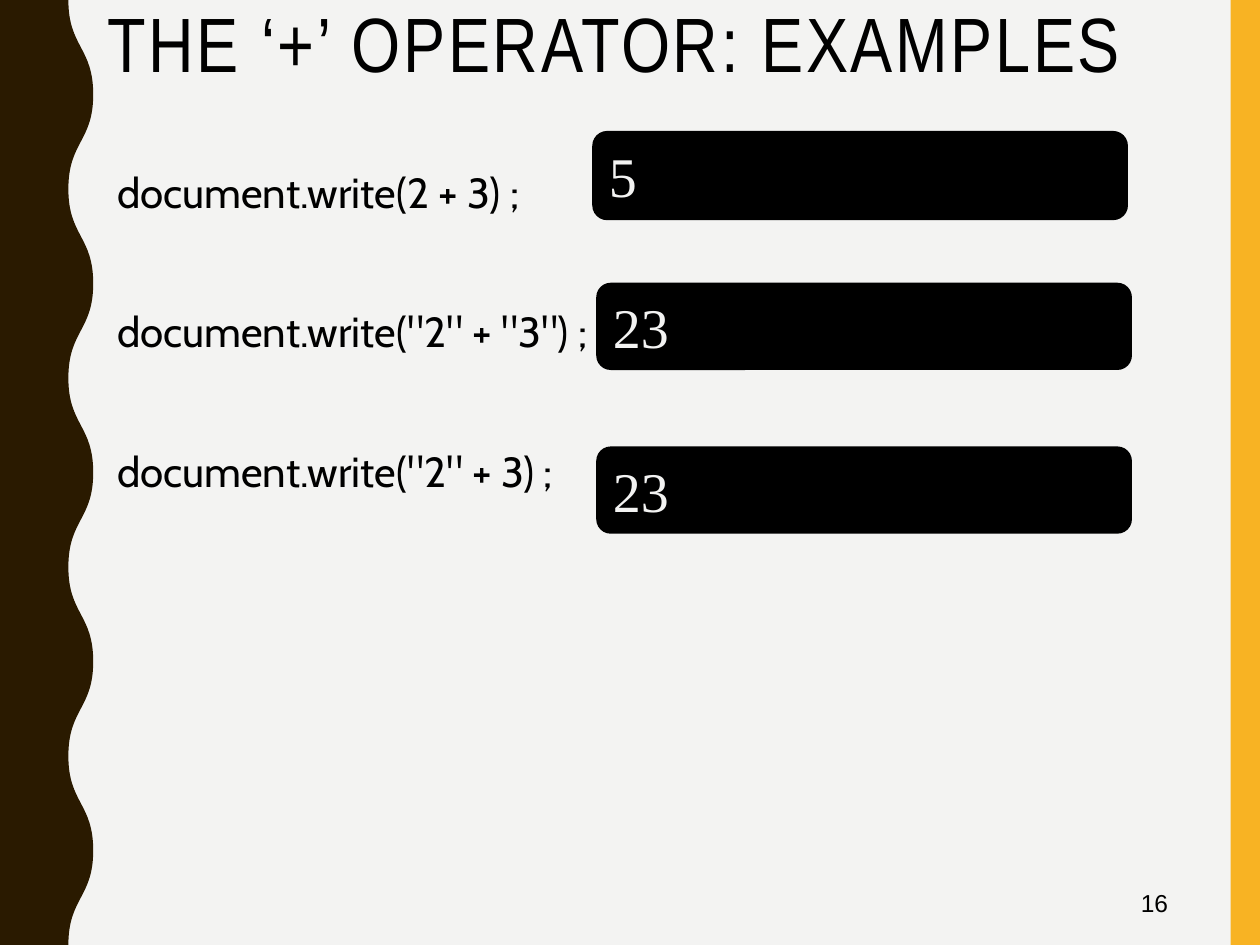
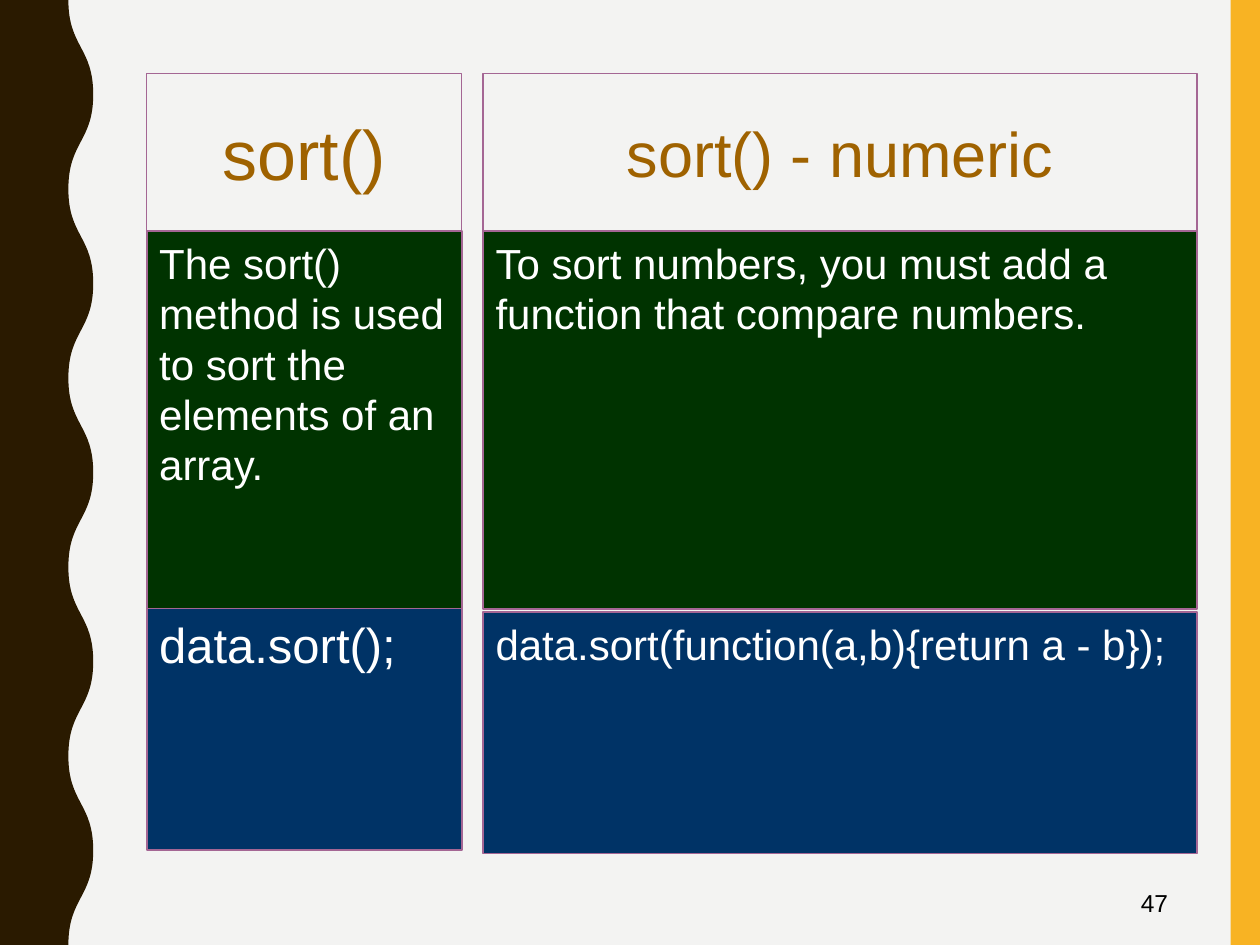
from lxml import etree
from pptx import Presentation
from pptx.dml.color import RGBColor
from pptx.enum.shapes import MSO_SHAPE
from pptx.enum.text import MSO_ANCHOR, MSO_AUTO_SIZE, PP_ALIGN
from pptx.oxml.ns import qn
from pptx.util import Cm, Pt

RECTANGLE, ROUNDED = MSO_SHAPE.RECTANGLE, MSO_SHAPE.ROUNDED_RECTANGLE
TOP, MIDDLE = MSO_ANCHOR.TOP, MSO_ANCHOR.MIDDLE
LEFT, CENTER, RIGHT = PP_ALIGN.LEFT, PP_ALIGN.CENTER, PP_ALIGN.RIGHT
NO_AUTOFIT = MSO_AUTO_SIZE.NONE
TITLE_ONLY, BLANK = 5, 6

COLORS = {
    "background": "F3F3F2", "band": "F8B323", "wave": "2A1A00",
    "text": "000000", "white": "FFFFFF", "heading": "9F6200",
    "border": "A46694", "green": "003300", "blue": "003366",
}

# Content
OPERATOR_TITLE = "THE ‘+’ OPERATOR: EXAMPLES"
STATEMENTS = [
    "document.write(2 + 3) ;",
    'document.write("2" + "3") ;',
    'document.write("2" + 3) ;',
]
# Result, left, top, height in cm
RESULTS = [("5", 11.94, 2.64, 1.8), ("23", 12.02, 5.7, 1.76), ("23", 12.02, 9, 1.76)]
# Left, width and code top in cm, then (text, size) for each box
SORT_COLUMNS = [
    {"left": 2.96, "width": 6.35, "code_top": 12.27,
     "heading": ("sort()", 40),
     "description": ("The sort() method is used to sort the elements of an array.", 24),
     "code": ("data.sort();", 28)},
    {"left": 9.74, "width": 14.39, "code_top": 12.34,
     "heading": ("sort() - numeric", 36),
     "description": ("To sort numbers, you must add a function that compare numbers.", 24),
     "code": ("data.sort(function(a,b){return a - b});", 24)},
]

# Page geometry in cm
WIDTH, HEIGHT = 25.4, 19.05
BAND_WIDTH = 0.59
WAVE_INNER, WAVE_OUTER = 1.38, 1.88
HALF_WAVES = 10


def rgb(name):
    return RGBColor.from_string(COLORS[name])


def write(shape, lines, size, color, font="Arial", align=LEFT, anchor=TOP,
          line_spacing=None, before=0, after=0):
    frame = shape.text_frame
    frame.word_wrap = True
    frame.auto_size = NO_AUTOFIT
    frame.vertical_anchor = anchor
    frame.text = "\n".join(lines)
    for paragraph in frame.paragraphs:
        paragraph.alignment = align
        paragraph.space_before, paragraph.space_after = Pt(before), Pt(after)
        if line_spacing:
            paragraph.line_spacing = line_spacing
        for run in paragraph.runs:
            run.font.name, run.font.size = font, Pt(size)
            run.font.color.rgb = rgb(color)


def paint(shape, fill=None, border=None, border_width=1):
    shape.shadow.inherit = False
    if fill:
        shape.fill.solid()
        shape.fill.fore_color.rgb = rgb(fill)
    else:
        shape.fill.background()
    if border:
        shape.line.color.rgb = rgb(border)
        shape.line.width = Pt(border_width)
    else:
        shape.line.fill.background()


def add_box(slide, kind, left, top, width, height, **style):
    shape = slide.shapes.add_shape(kind, Cm(left), Cm(top), Cm(width), Cm(height))
    paint(shape, **style)
    return shape


def add_text(slide, left, top, width, height, lines, size, color, **style):
    box = slide.shapes.add_textbox(Cm(left), Cm(top), Cm(width), Cm(height))
    write(box, lines, size, color, **style)


def add_wave(slide):
    """Left band whose edge swings between two limits in S-curves."""
    edge = [(Cm(WAVE_OUTER if index % 2 else WAVE_INNER), Cm(index * HEIGHT / HALF_WAVES))
            for index in range(HALF_WAVES + 1)]
    builder = slide.shapes.build_freeform(*edge[0])
    builder.add_line_segments([*edge[1:], (0, Cm(HEIGHT)), (0, 0)], close=True)
    wave = builder.convert_to_shape()
    paint(wave, fill="wave")
    # Turn the straight edge segments into curves with handles at half height
    segments = list(wave._element.iter(qn("a:lnTo")))
    for segment, (start_x, start_y), (end_x, end_y) in zip(segments, edge, edge[1:]):
        middle = (start_y + end_y) // 2
        curve = etree.Element(qn("a:cubicBezTo"))
        for x, y in [(start_x, middle), (end_x, middle), (end_x, end_y)]:
            etree.SubElement(curve, qn("a:pt"), x=str(int(x)), y=str(int(y)))
        segment.getparent().replace(segment, curve)
    return wave


def add_page(layout, number):
    slide = presentation.slides.add_slide(presentation.slide_layouts[layout])
    add_text(slide, 17.93, 17.72, 5.87, 0.97, [str(number)], 14, "text",
             align=RIGHT, anchor=MIDDLE)
    return slide


def move_to_master(shapes):
    """Put shared decorations behind everything on the slide master."""
    tree = presentation.slide_master.shapes._spTree
    for index, shape in enumerate(shapes):
        tree.insert(2 + index, shape._element)


presentation = Presentation()
presentation.slide_width, presentation.slide_height = Cm(WIDTH), Cm(HEIGHT)
background = presentation.slide_master.background.fill
background.solid()
background.fore_color.rgb = rgb("background")

# Slide 1: statements and their results
slide = add_page(TITLE_ONLY, 16)
move_to_master([
    add_box(slide, RECTANGLE, WIDTH - BAND_WIDTH, 0, BAND_WIDTH, HEIGHT, fill="band"),
    add_wave(slide),
])
title = slide.shapes.title
title.left, title.top, title.width, title.height = Cm(1.91), Cm(0), Cm(23.49), Cm(2.54)
write(title, [OPERATOR_TITLE], 44, "text", font="Arial Narrow", line_spacing=0.9)
for run in title.text_frame.paragraphs[0].runs:
    run.font._element.set("spc", "150")
add_text(slide, 2.11, 3.14, 21.39, 15.88, STATEMENTS, 24, "text", font="Cabin",
         line_spacing=1.1, before=7, after=40.8)
for result, left, top, height in RESULTS:
    box = add_box(slide, ROUNDED, left, top, 10.8, height, fill="text")
    write(box, [result], 32, "background", font="Times New Roman", anchor=MIDDLE)

# Slide 2: two columns of heading, description and code
slide = add_page(BLANK, 47)
for column in SORT_COLUMNS:
    rows = [
        ("description", 4.66, 7.62, "green"),
        ("heading", 1.48, 3.18, None),
        ("code", column["code_top"], 4.87, "blue"),
    ]
    for part, top, height, fill in rows:
        text, size = column[part]
        box = add_box(slide, RECTANGLE, column["left"], top, column["width"], height,
                      fill=fill, border="border", border_width=1 if fill else 0.75)
        if part == "heading":
            write(box, [text], size, "heading", align=CENTER, anchor=MIDDLE)
        else:
            write(box, [text], size, "white", before=size * 0.2)

presentation.save("out.pptx")
